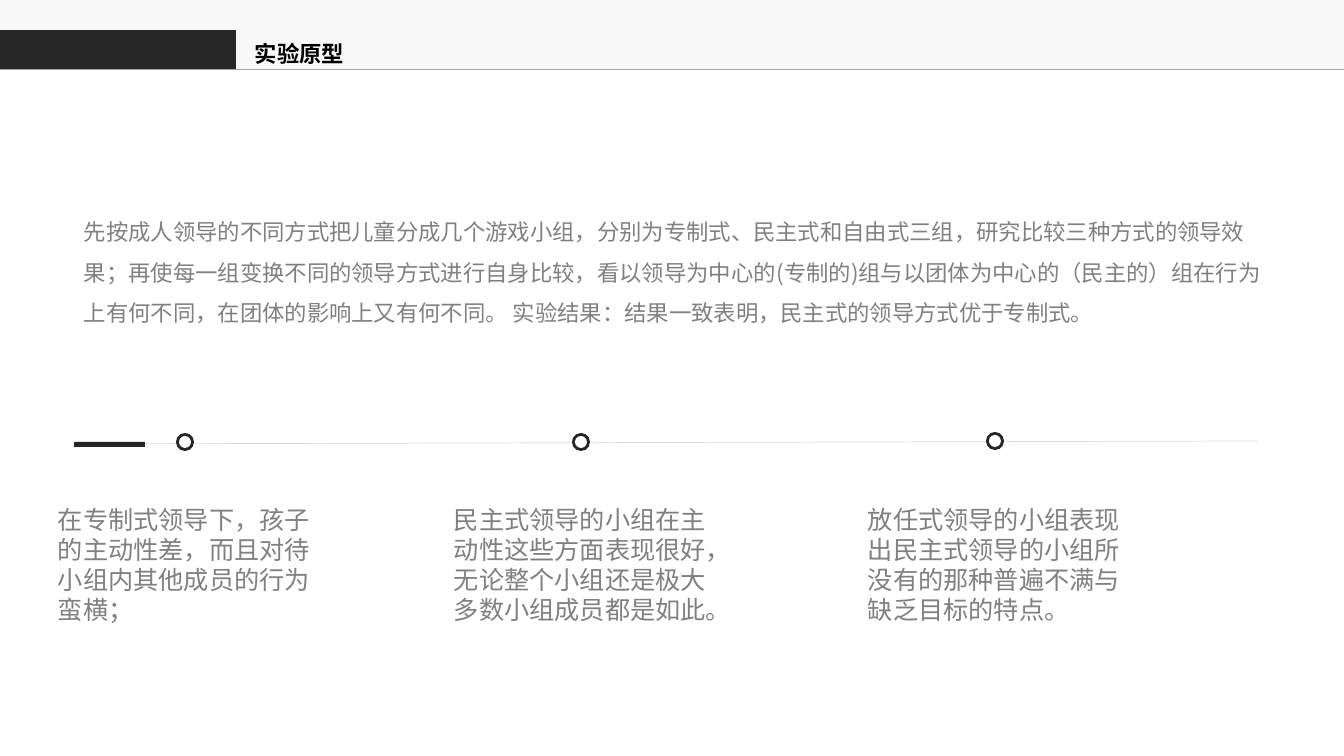
import pptx
import pptx.util
import pptx.dml.color
import pptx.enum.shapes
import pptx.enum.text
import pptx.oxml.ns
from lxml import etree

RGB = pptx.dml.color.RGBColor
KIND = pptx.enum.shapes.MSO_SHAPE
qn = pptx.oxml.ns.qn

TITLE = "实验原型"
INTRO = (
    "先按成人领导的不同方式把儿童分成几个游戏小组，分别为专制式、民主式和自由式三组，"
    "研究比较三种方式的领导效果；再使每一组变换不同的领导方式进行自身比较，"
    "看以领导为中心的(专制的)组与以团体为中心的（民主的）组在行为上有何不同，"
    "在团体的影响上又有何不同。 实验结果：结果一致表明，民主式的领导方式优于专制式。"
)
# text left, ring top, text
GROUPS = [
    (48, 433, "在专制式领导下，孩子的主动性差，而且对待小组内其他成员的行为蛮横；"),
    (444, 433, "民主式领导的小组在主动性这些方面表现很好，无论整个小组还是极大多数小组成员都是如此。"),
    (858, 432, "放任式领导的小组表现出民主式领导的小组所没有的那种普遍不满与缺乏目标的特点。"),
]

FONT = "Noto Sans CJK SC"
DARK = RGB(0x26, 0x26, 0x26)
GRAY = RGB(0x80, 0x80, 0x80)
BLACK = RGB(0, 0, 0)
WHITE = RGB(0xFF, 0xFF, 0xFF)
PALE = RGB(0xF2, 0xF2, 0xF2)
RULE = RGB(0xA6, 0xA6, 0xA6)
AXIS = RGB(0xD9, 0xD9, 0xD9)

WIDE, HIGH = 1344, 756
HEAD = 69            # bottom of the header band
RING, HOLE = 18, 12  # outer and inner diameters
SHIFT = 128          # ring left, from the left of its text


def emu(px):
    return round(px * 914400 / 100.8)


def box(host, kind, x, y, w, h, fill, alpha=None):
    shape = host.add_shape(kind, emu(x), emu(y), emu(w), emu(h))
    shape.shadow.inherit = False
    shape.fill.solid()
    shape.fill.fore_color.rgb = fill
    shape.line.fill.background()
    if alpha is not None:
        color = shape.fill._xPr.find(qn("a:solidFill"))[0]
        etree.SubElement(color, qn("a:alpha")).set("val", str(alpha * 1000))


def rule(host, x1, y1, x2, y2, color):
    line = host.add_connector(
        pptx.enum.shapes.MSO_CONNECTOR.STRAIGHT, emu(x1), emu(y1), emu(x2), emu(y2))
    line.line.color.rgb = color
    line.line.width = pptx.util.Pt(0.5)
    etree.SubElement(line._element.spPr, qn("a:effectLst"))


def write(host, text, x, y, w, h, size=18, color=GRAY, bold=False, space=None):
    frame = host.add_textbox(emu(x), emu(y), emu(w), emu(h)).text_frame
    frame.word_wrap = True
    frame.auto_size = pptx.enum.text.MSO_AUTO_SIZE.SHAPE_TO_FIT_TEXT
    para = frame.paragraphs[0]
    para.line_spacing = space
    run = para.add_run()
    run.text = text
    font = run.font
    font.name, font.size, font.bold = FONT, pptx.util.Pt(size), bold
    font.color.rgb = color
    etree.SubElement(run._r.get_or_add_rPr(), qn("a:ea")).set("typeface", FONT)


def ring(host, x, y):
    parts = host.add_group_shape().shapes
    gap = (RING - HOLE) / 2
    box(parts, KIND.OVAL, x, y, RING, RING, DARK)
    box(parts, KIND.OVAL, x + gap, y + gap, HOLE, HOLE, WHITE)


def main():
    deck = pptx.Presentation()
    deck.slide_width, deck.slide_height = emu(WIDE), emu(HIGH)
    host = deck.slides.add_slide(deck.slide_layouts[6]).shapes

    box(host, KIND.RECTANGLE, 0, 0, WIDE, HEAD, PALE, alpha=50)
    rule(host, 0, HEAD, WIDE, HEAD, RULE)
    box(host, KIND.RECTANGLE, 0, 30, 236, HEAD - 30, DARK)
    write(host, TITLE, 245, 35, 309, 37, size=16, color=BLACK, bold=True)

    write(host, INTRO, 74, 200, 1198, 132, size=16, space=1.5)

    rule(host, 74, 444, 1257, 441, AXIS)
    box(host, KIND.RECTANGLE, 74, 442, 71, 5, DARK)
    for left, top, text in GROUPS:
        ring(host, left + SHIFT, top)
        write(host, text, left, 499, 275, 132)

    deck.save("out.pptx")


if __name__ == "__main__":
    main()
